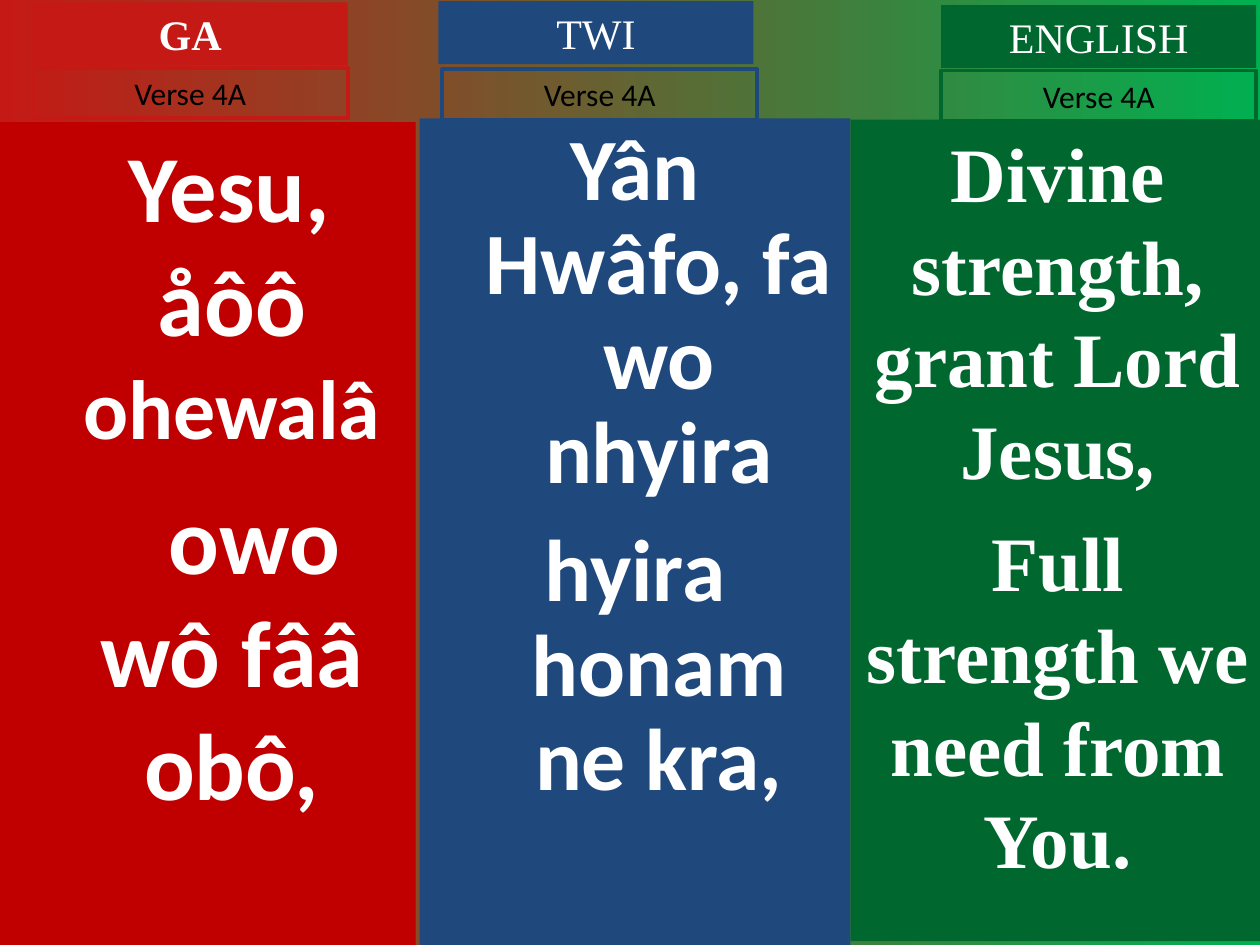
from pptx import Presentation
from pptx.dml.color import RGBColor
from pptx.enum.shapes import MSO_SHAPE
from pptx.enum.text import MSO_ANCHOR, MSO_AUTO_SIZE, PP_ALIGN
from pptx.util import Inches, Pt

DARK_RED = RGBColor(0xC0, 0x00, 0x00)
RED = RGBColor(0xC5, 0x19, 0x15)
BLUE = RGBColor(0x1F, 0x49, 0x7D)
GREEN = RGBColor(0x00, 0x68, 0x2F)
BRIGHT_GREEN = RGBColor(0x00, 0xB0, 0x50)
WHITE = RGBColor(0xFF, 0xFF, 0xFF)
BLACK = RGBColor(0x00, 0x00, 0x00)
SERIF, SANS = "Times New Roman", "Calibri"


def add_box(box, fill=None, line=None):
    """Add a top-anchored rectangle and return its shape; box is in inches."""
    sp = s.shapes.add_shape(MSO_SHAPE.RECTANGLE, *[Inches(v) for v in box])
    sp.shadow.inherit = False
    if fill is None:
        sp.fill.background()
    else:
        sp.fill.solid()
        sp.fill.fore_color.rgb = fill
    if line is None:
        sp.line.fill.background()
    else:
        sp.line.color.rgb = line
        sp.line.width = Pt(2.25)
    sp.text_frame.word_wrap = True
    sp.text_frame.vertical_anchor = MSO_ANCHOR.TOP
    return sp


def add_text(p, parts, font, color, bold=False):
    """Fill a centred paragraph with (text, size) runs."""
    p.alignment = PP_ALIGN.CENTER
    for text, size in parts:
        r = p.add_run()
        r.text = text
        r.font.name = font
        r.font.size = Pt(size)
        r.font.bold = bold
        r.font.color.rgb = color


prs = Presentation()
prs.slide_width, prs.slide_height = Inches(10), Inches(7.5)
s = prs.slides.add_slide(prs.slide_layouts[6])

bg = s.background.fill
bg.gradient()
bg.gradient_angle = 0
for stop, color, position in zip(bg.gradient_stops, (RED, BRIGHT_GREEN), (0, 1)):
    stop.color.rgb = color
    stop.position = position

# Verse columns: box, fill, font, line spacing, left margin, space between,
# then (first-line indent, runs) for each paragraph
columns = [
    ((0, 0.97, 3.3, 6.53), DARK_RED, SANS, 1.0, 0.38, 13.5,
     [(-0.04, [("Yesu, åôô ", 54), ("ohewalâ", 48)]),
      (0.36, [("owo wô fââ obô,", 54)])]),
    ((3.33, 0.94, 3.42, 6.56), BLUE, SANS, 0.9, 0.38, 13.5,
     [(-0.38, [("Yân Hwâfo, fa wo nhyira", 50)]),
      (-0.38, [("hyira honam ne kra,", 50)])]),
    ((6.75, 0.95, 3.29, 6.52), GREEN, SERIF, 1.0, 0, 11,
     [(0, [("Divine strength, grant Lord Jesus,", 44)]),
      (0, [("Full strength we need from You.", 44)])]),
]
for box, fill, font, spacing, margin, gap, paragraphs in columns:
    tf = add_box(box, fill=fill).text_frame
    for i, (indent, parts) in enumerate(paragraphs):
        p = tf.add_paragraph() if i else tf.paragraphs[0]
        p.line_spacing = spacing
        if i:
            p.space_before = Pt(gap)
        if margin:
            pPr = p._p.get_or_add_pPr()
            pPr.set("marL", str(Inches(margin)))
            pPr.set("indent", str(Inches(indent)))
        add_text(p, parts, font, WHITE, bold=True)

# Headings: language, colour, bold, left/top of the title, left/top of the verse label
headings = [
    ("GA", RED, True, (0.26, 0.02), (0.26, 0.54)),
    ("TWI", BLUE, False, (3.48, 0.01), (3.51, 0.55)),
    ("ENGLISH", GREEN, False, (7.47, 0.04), (7.47, 0.56)),
]
for language, color, bold, title_at, verse_at in headings:
    title = add_box((*title_at, 2.5, 0.5), fill=color)
    add_text(title.text_frame.paragraphs[0], [(language, 24)], SERIF, WHITE, bold)
    verse = add_box((*verse_at, 2.5, 0.4), line=color)
    add_text(verse.text_frame.paragraphs[0], [("Verse 4A", 18)], SANS, BLACK)
    for sp in (title, verse):
        sp.text_frame.auto_size = MSO_AUTO_SIZE.SHAPE_TO_FIT_TEXT

prs.save("out.pptx")
